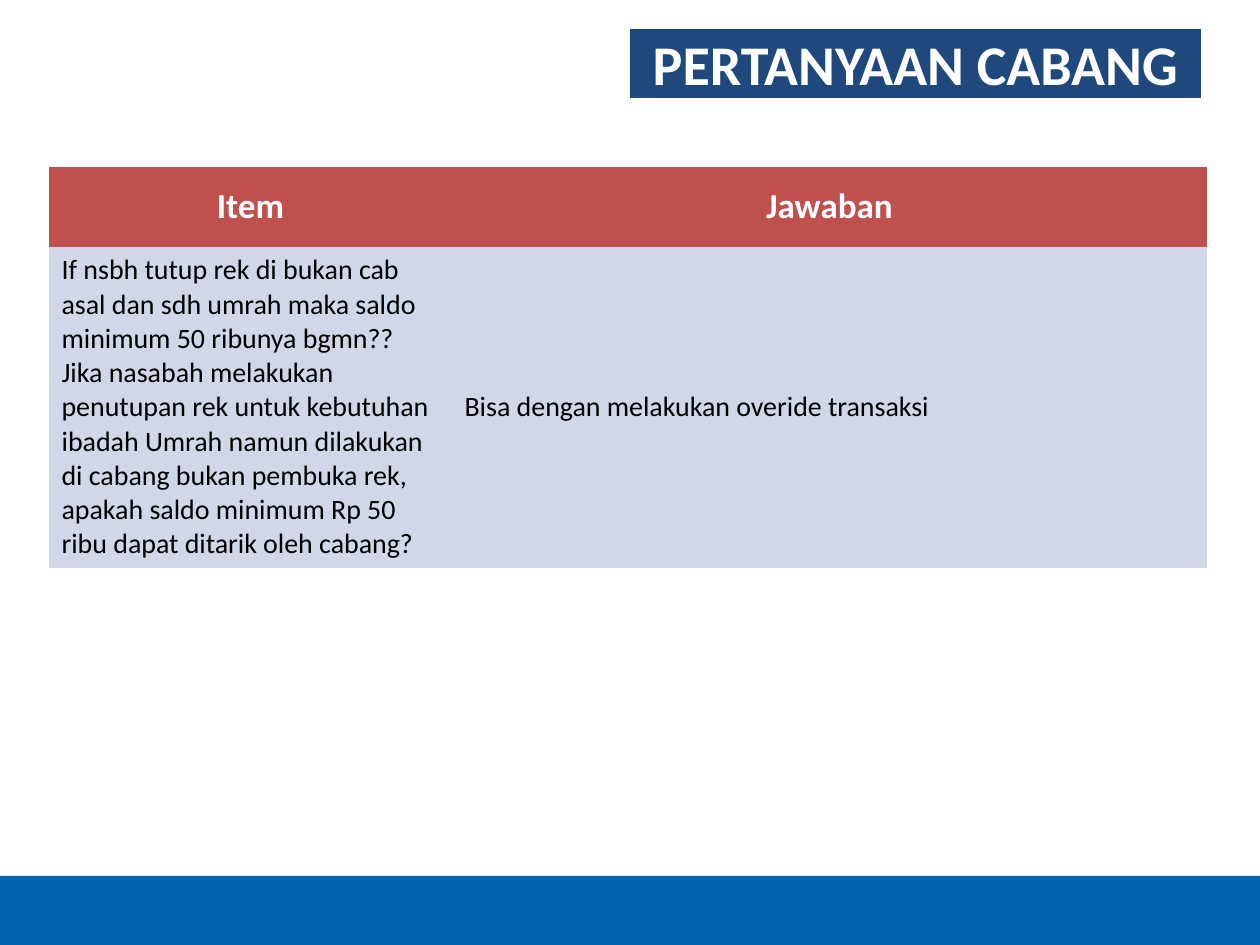
from lxml.etree import SubElement
from pptx import Presentation
from pptx.dml.color import RGBColor as Rgb
from pptx.enum.text import MSO_ANCHOR as Anchor, MSO_AUTO_SIZE as AutoSize, PP_ALIGN as Align
from pptx.enum.shapes import MSO_SHAPE as Preset
from pptx.oxml.ns import qn
from pptx.util import Pt

PX = 914400 // 126
COLORS = {"footer": "0066B2", "title": "1F497D", "header": "C0504D",
          "body": "D0D8E8", "light": "FFFFFF", "dark": "000000"}
FORMATS = {
    "title": {"size": Pt(32), "bold": True, "name": "Calibri"},
    "header": {"size": Pt(20), "bold": True, "name": "Calibri"},
    "body": {"size": Pt(16), "bold": False, "name": "Calibri"},
}
NO_STYLE = "{2D5ABB26-0587-4C30-8999-92F81FD0307C}"
ROWS = [
    ("header", ["Item", "Jawaban"]),
    ("body", [
        "If nsbh tutup rek di bukan cab asal dan sdh umrah maka saldo minimum 50 ribunya bgmn??\n"
        "Jika nasabah melakukan penutupan rek untuk kebutuhan ibadah Umrah namun dilakukan "
        "di cabang bukan pembuka rek, apakah saldo minimum Rp 50 ribu dapat ditarik oleh cabang?",
        "Bisa dengan melakukan overide transaksi",
    ]),
]


def emu(box):
    """Turn px lengths into EMU."""
    return [length * PX for length in box]


def paint(target, color):
    """Give a shape or cell a solid fill."""
    target.fill.solid()
    target.fill.fore_color.rgb = Rgb.from_string(COLORS[color])


def write(frame, text, role, color, align):
    """Fill a text frame and format its paragraphs."""
    frame.text = text
    frame.word_wrap = True
    for paragraph in frame.paragraphs:
        paragraph.alignment = align
        for key, value in FORMATS[role].items():
            setattr(paragraph.font, key, value)
        paragraph.font.color.rgb = Rgb.from_string(COLORS[color])


def add_footer(slide, box):
    """Draw the blue band along the bottom."""
    footer = slide.shapes.add_shape(Preset.RECTANGLE, *emu(box))
    footer.shadow.inherit = False
    footer.line.fill.background()
    paint(footer, "footer")


def add_title(slide, box):
    """Place the title in a rounded panel."""
    title = slide.shapes.title
    for side, length in zip(("left", "top", "width", "height"), emu(box)):
        setattr(title, side, length)
    outline = SubElement(title.element.spPr, qn("a:prstGeom"), prst="roundRect")
    SubElement(SubElement(outline, qn("a:avLst")), qn("a:gd"), name="adj", fmla="val 16667")
    paint(title, "title")
    write(title.text_frame, "PERTANYAAN CABANG", "title", "light", Align.CENTER)
    title.text_frame.auto_size = AutoSize.NONE
    title.text_frame.vertical_anchor = Anchor.MIDDLE


def add_questions(slide, box, widths, heights):
    """Build the table of questions and answers."""
    questions = slide.shapes.add_table(len(ROWS), len(widths), *emu(box)).table
    questions.horz_banding = False
    for style in questions._tbl.tblPr.iter(qn("a:tableStyleId")):
        style.text = NO_STYLE
    for column, width in zip(questions.columns, emu(widths)):
        column.width = width
    for row, height, (role, texts) in zip(questions.rows, emu(heights), ROWS):
        row.height = height
        color, align = ("light", Align.CENTER) if role == "header" else ("dark", Align.LEFT)
        for cell, text in zip(row.cells, texts):
            paint(cell, role)
            cell.vertical_anchor = Anchor.MIDDLE
            write(cell.text_frame, text, role, color, align)


def main():
    """Build and save the slide."""
    deck = Presentation()
    deck.slide_width, deck.slide_height = emu((1260, 945))
    slide = deck.slides.add_slide(deck.slide_layouts[5])
    add_footer(slide, (0, 876, 1260, 69))
    add_title(slide, (630, 29, 571, 69))
    add_questions(slide, (49, 167, 1158, 395), (403, 755), (80, 315))
    deck.save("out.pptx")


if __name__ == "__main__":
    main()
